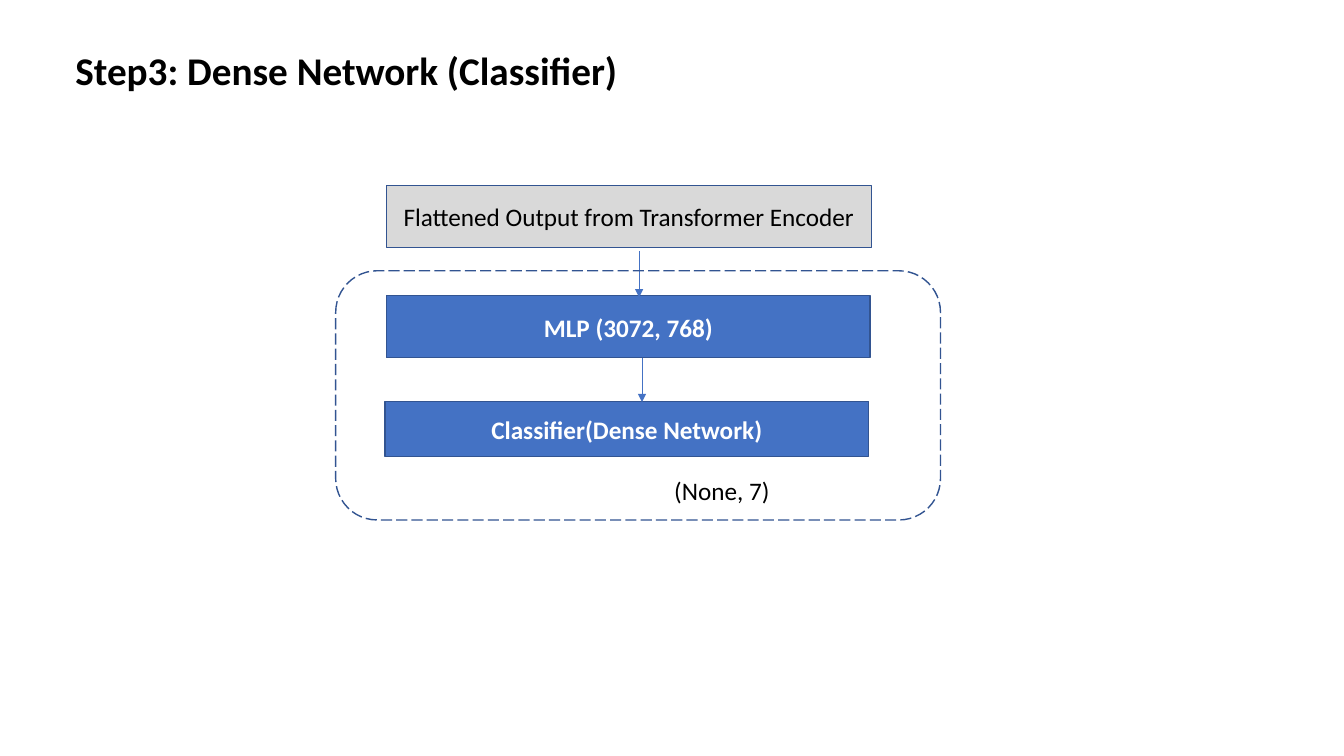
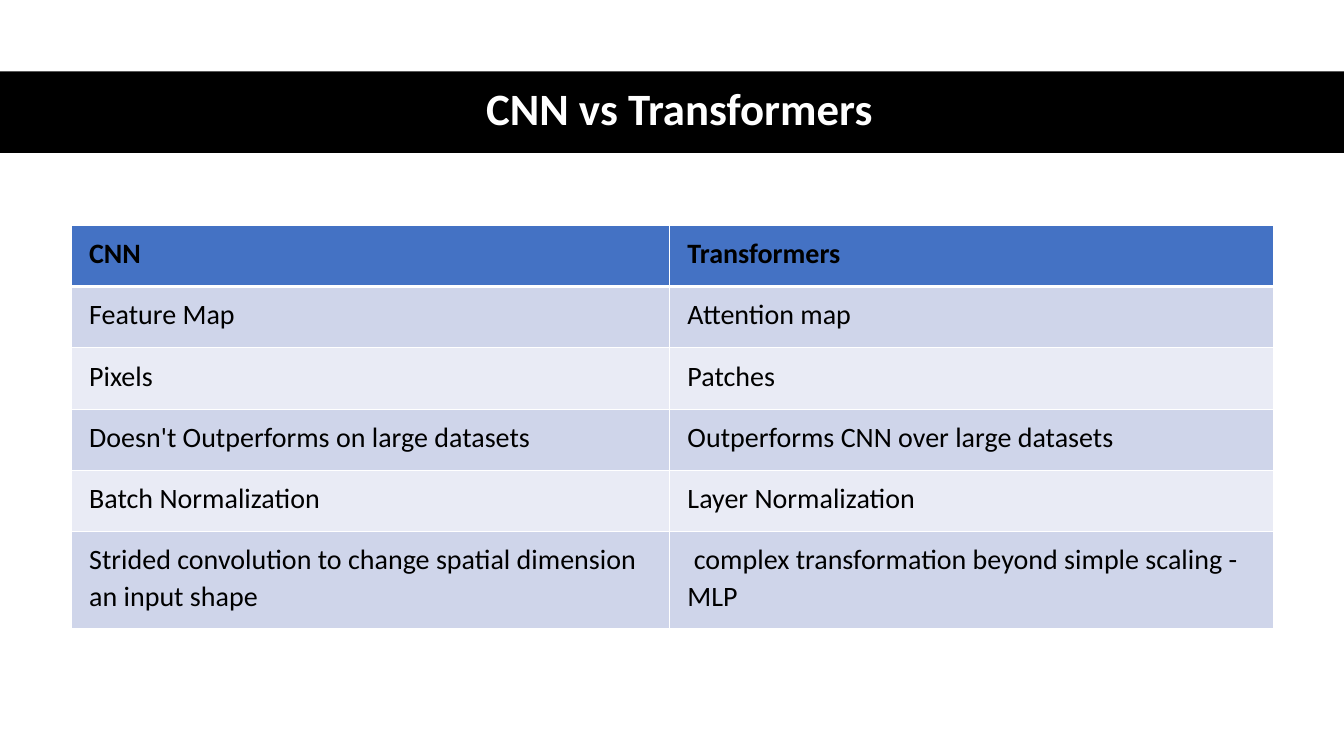
from dataclasses import dataclass

from lxml.etree import SubElement
from pptx import Presentation
from pptx.dml.color import RGBColor
from pptx.enum.dml import MSO_LINE_DASH_STYLE as Dash
from pptx.enum.shapes import MSO_CONNECTOR as Connector, MSO_SHAPE as Preset
from pptx.enum.text import MSO_ANCHOR as Anchor, PP_ALIGN as Align
from pptx.oxml.ns import qn
from pptx.shapes.autoshape import Shape
from pptx.slide import Slide
from pptx.table import _Cell as Cell
from pptx.text.text import TextFrame
from pptx.util import Pt


# Theme: every colour and type size
@dataclass(frozen=True)
class Theme:
    font: str = "Calibri"
    black: str = "000000"
    white: str = "FFFFFF"
    blue: str = "4472C4"
    outline: str = "325491"
    grey: str = "D9D9D9"
    row_dark: str = "CFD5EA"
    row_light: str = "E9EBF5"
    body_size: float = 18
    table_size: float = 20
    title_size: float = 28
    band_size: float = 32


THEME = Theme()


@dataclass(frozen=True)
class Area:
    left: float
    top: float
    width: float
    height: float

    def points(self) -> tuple[Pt, Pt, Pt, Pt]:
        return Pt(self.left), Pt(self.top), Pt(self.width), Pt(self.height)


@dataclass(frozen=True)
class TextStyle:
    size: float = THEME.body_size
    color: str = THEME.black
    bold: bool = False
    align: Align = Align.LEFT
    spacing: float = 1.0


@dataclass(frozen=True)
class Block:
    text: str
    area: Area
    fill: str
    style: TextStyle


@dataclass(frozen=True)
class Arrow:
    x: float
    top: float
    bottom: float


# Text and shapes
def set_text(frame: TextFrame, text: str, style: TextStyle) -> None:
    frame.word_wrap = True
    frame.text = text
    paragraph = frame.paragraphs[0]
    paragraph.alignment = style.align
    paragraph.line_spacing = style.spacing
    font = paragraph.font
    font.name, font.size, font.bold = THEME.font, Pt(style.size), style.bold
    font.color.rgb = RGBColor.from_string(style.color)


def add_text(slide: Slide, text: str, area: Area, style: TextStyle,
             anchor: Anchor = Anchor.TOP) -> None:
    frame = slide.shapes.add_textbox(*area.points()).text_frame
    set_text(frame, text, style)
    frame.vertical_anchor = anchor


def add_panel(slide: Slide, preset: Preset, area: Area,
              fill: str | None = None, line: str | None = None) -> Shape:
    shape = slide.shapes.add_shape(preset, *area.points())
    shape.shadow.inherit = False
    if fill:
        shape.fill.solid()
        shape.fill.fore_color.rgb = RGBColor.from_string(fill)
    else:
        shape.fill.background()
    if line:
        shape.line.color.rgb = RGBColor.from_string(line)
        shape.line.width = Pt(1)
    else:
        shape.line.fill.background()
    return shape


def add_block(slide: Slide, block: Block) -> None:
    shape = add_panel(slide, Preset.RECTANGLE, block.area, block.fill, THEME.outline)
    set_text(shape.text_frame, block.text, block.style)
    shape.text_frame.vertical_anchor = Anchor.MIDDLE


def add_arrow(slide: Slide, arrow: Arrow) -> None:
    connector = slide.shapes.add_connector(
        Connector.STRAIGHT, Pt(arrow.x), Pt(arrow.top), Pt(arrow.x), Pt(arrow.bottom))
    connector.line.color.rgb = RGBColor.from_string(THEME.blue)
    connector.line.width = Pt(0.5)
    SubElement(connector.line._get_or_add_ln(), qn("a:tailEnd"), type="triangle")
    SubElement(connector._element.spPr, qn("a:effectLst"))


# Table cells
def set_borders(cell: Cell, top: float, bottom: float) -> None:
    properties = cell._tc.get_or_add_tcPr()
    for side, width in (("L", 1), ("R", 1), ("T", top), ("B", bottom)):
        line = SubElement(properties, qn(f"a:ln{side}"), w=str(Pt(width)))
        fill = SubElement(line, qn("a:solidFill"))
        SubElement(fill, qn("a:srgbClr"), val=THEME.white)


def add_table(slide: Slide, rows: list[tuple[str, str]], area: Area,
              columns: list[float], heights: list[float]) -> None:
    table = slide.shapes.add_table(len(rows), len(columns), *area.points()).table
    table.first_row = table.horz_banding = False
    for column, width in zip(table.columns, columns):
        column.width = Pt(width)
    for index, (texts, height) in enumerate(zip(rows, heights)):
        table.rows[index].height = Pt(height)
        header = index == 0
        band = THEME.row_dark if index % 2 else THEME.row_light
        style = TextStyle(THEME.table_size, bold=header, spacing=1.07)
        for cell, text in zip(table.rows[index].cells, texts):
            set_text(cell.text_frame, text, style)
            cell.margin_left = cell.margin_right = Pt(13)
            cell.margin_top = cell.margin_bottom = Pt(6.5)
            set_borders(cell, top=3 if index == 1 else 1, bottom=3 if header else 1)
            cell.fill.solid()
            cell.fill.fore_color.rgb = RGBColor.from_string(
                THEME.blue if header else band)


# Slide 1: classifier diagram
def build_classifier(slide: Slide) -> None:
    plain = TextStyle(align=Align.CENTER)
    strong = TextStyle(color=THEME.white, bold=True, align=Align.CENTER, spacing=1.07)
    blocks = [
        Block("MLP (3072, 768)", Area(276, 211, 345.6, 44.6), THEME.blue, strong),
        Block("Classifier(Dense Network)", Area(275, 286.6, 345.6, 39.4),
              THEME.blue, strong),
        Block("Flattened Output from Transformer Encoder",
              Area(276, 132.4, 346.4, 44.6), THEME.grey, plain),
    ]
    for block in blocks:
        add_block(slide, block)
    for arrow in (Arrow(456.5, 179.3, 212.4), Arrow(458.6, 255.6, 287.3)):
        add_arrow(slide, arrow)
    add_text(slide, "Step3: Dense Network (Classifier)", Area(46.8, 29.5, 409.7, 41),
             TextStyle(THEME.title_size, bold=True))
    frame = add_panel(slide, Preset.ROUNDED_RECTANGLE, Area(239.8, 193.4, 432, 178),
                      line=THEME.outline)
    frame.line.dash_style = Dash.LONG_DASH
    add_text(slide, "(None, 7)", Area(474.5, 336.2, 109.4, 29), TextStyle())


# Slide 2: comparison table
def build_comparison(slide: Slide) -> None:
    add_panel(slide, Preset.RECTANGLE, Area(0, 51, 960, 58.3), THEME.black)
    add_text(slide, "CNN vs Transformers", Area(44, 50.4, 882.7, 58.3),
             TextStyle(THEME.band_size, THEME.white, True, Align.CENTER, 0.9),
             Anchor.MIDDLE)
    rows = [
        ("CNN", "Transformers"),
        ("Feature Map", "Attention map"),
        ("Pixels", "Patches"),
        ("Doesn't Outperforms on large datasets", "Outperforms CNN over large datasets"),
        ("Batch Normalization", "Layer Normalization"),
        ("Strided convolution to change spatial dimension an input shape",
         " complex transformation beyond simple scaling - MLP"),
    ]
    add_table(slide, rows, Area(50.7, 160.9, 858.7, 288),
              columns=[427.4, 431.3], heights=[43.8] * 5 + [69])


def main() -> None:
    presentation = Presentation()
    presentation.slide_width, presentation.slide_height = Pt(960), Pt(540)
    blank = presentation.slide_layouts[6]
    for build in (build_classifier, build_comparison):
        build(presentation.slides.add_slide(blank))
    presentation.save("out.pptx")


if __name__ == "__main__":
    main()
